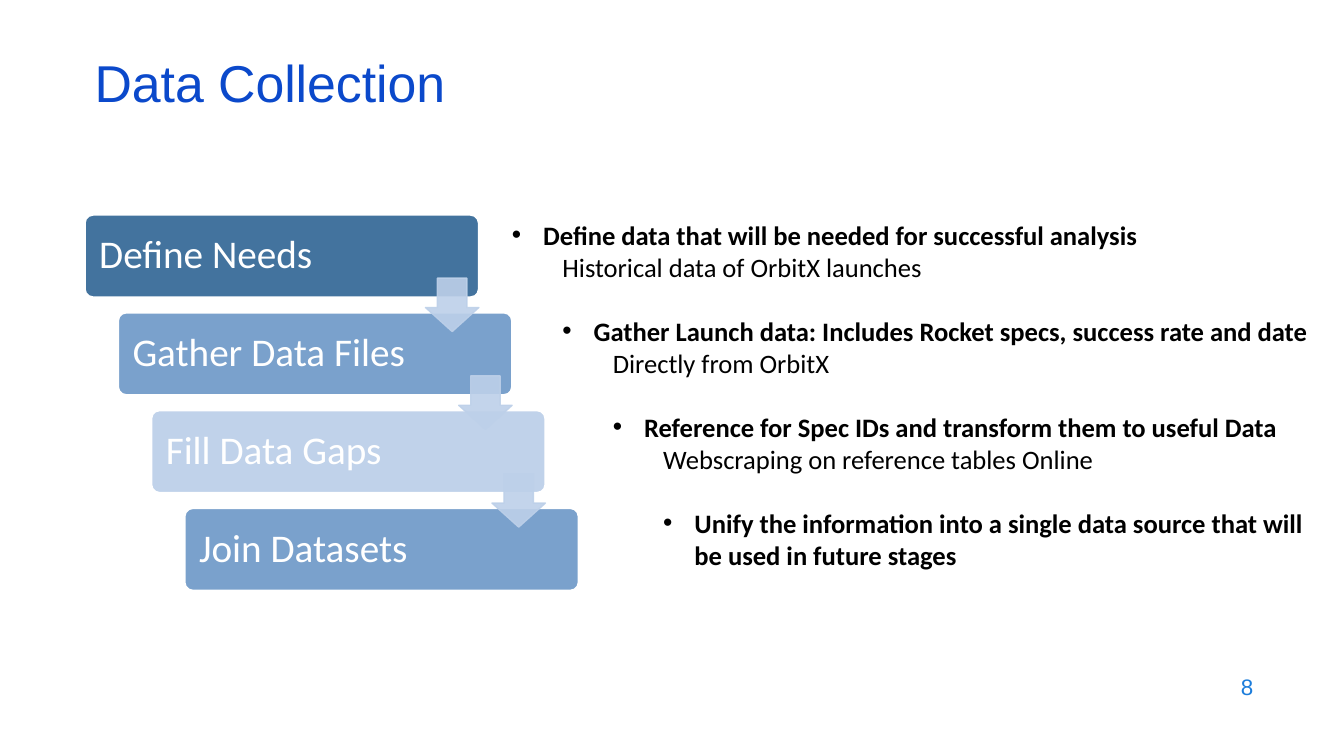
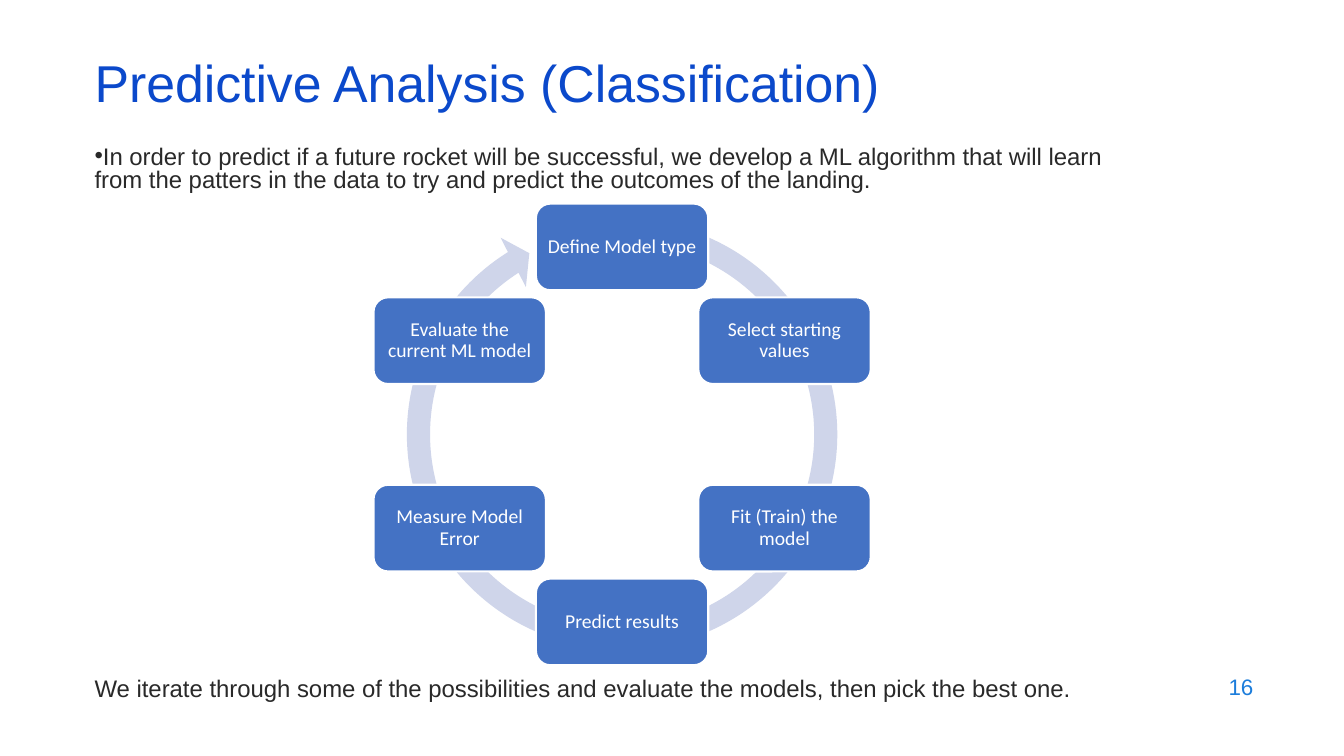
import math
from dataclasses import dataclass

from lxml import etree
from pptx import Presentation
from pptx.dml.color import RGBColor
from pptx.enum.shapes import MSO_SHAPE
from pptx.enum.text import MSO_ANCHOR, PP_ALIGN
from pptx.oxml.ns import qn
from pptx.presentation import Presentation as Deck
from pptx.shapes.autoshape import Shape
from pptx.slide import Slide
from pptx.text.text import TextFrame, _Paragraph as Paragraph
from pptx.util import Inches, Pt

ROUNDED = MSO_SHAPE.ROUNDED_RECTANGLE
DOWN_ARROW = MSO_SHAPE.DOWN_ARROW
CIRCULAR_ARROW = MSO_SHAPE.CIRCULAR_ARROW
TOP, MIDDLE = MSO_ANCHOR.TOP, MSO_ANCHOR.MIDDLE
LEFT, CENTER, RIGHT = PP_ALIGN.LEFT, PP_ALIGN.CENTER, PP_ALIGN.RIGHT


@dataclass(frozen=True)
class TextStyle:
    font: str
    size: float
    color: str
    spacing: float = 1.0
    align: PP_ALIGN = LEFT


@dataclass(frozen=True)
class Theme:
    white: str = "FFFFFF"
    dark_step: str = "43739E"
    mid_step: str = "7AA1CC"
    light_step: str = "C0D2EA"
    step_arrow: str = "BDD0E9"
    stage: str = "4472C4"
    ring: str = "CFD5EA"
    title: TextStyle = TextStyle("Arial", 37, "0B49CB", 0.7)
    number: TextStyle = TextStyle("Arial", 16, "1C7DDB", align=RIGHT)
    body: TextStyle = TextStyle("Arial", 17.1, "292929", 0.8)
    detail: TextStyle = TextStyle("Calibri", 19, "000000")
    step_label: TextStyle = TextStyle("Calibri", 28, "FFFFFF", 0.9)
    stage_label: TextStyle = TextStyle("Calibri", 14, "FFFFFF", 0.9, CENTER)


THEME = Theme()


@dataclass(frozen=True)
class Box:
    left: float
    top: float
    width: float
    height: float

    def emu(self) -> tuple[int, int, int, int]:
        return (Inches(self.left), Inches(self.top),
                Inches(self.width), Inches(self.height))


@dataclass(frozen=True)
class Step:
    label: str
    fill: str
    point: str
    note: str = ""


STEPS = [
    Step("Define Needs", THEME.dark_step,
         "Define data that will be needed for successful analysis",
         "Historical data of OrbitX launches"),
    Step("Gather Data Files", THEME.mid_step,
         "Gather Launch data: Includes Rocket specs, success rate and date",
         "Directly from OrbitX"),
    Step("Fill Data Gaps", THEME.light_step,
         "Reference for Spec IDs and transform them to useful Data",
         "Webscraping on reference tables Online"),
    Step("Join Datasets", THEME.mid_step,
         "Unify the information into a single data source that will be used "
         "in future stages"),
]

STAGES = [
    "Define Model type",
    "Select starting values",
    "Fit (Train) the model",
    "Predict results",
    "Measure Model Error",
    "Evaluate the current ML model",
]


def write(paragraph: Paragraph, text: str, style: TextStyle, bold: bool = False) -> None:
    paragraph.alignment = style.align
    paragraph.line_spacing = style.spacing
    run = paragraph.add_run()
    run.text = text
    run.font.name = style.font
    run.font.size = Pt(style.size)
    run.font.bold = bold
    run.font.color.rgb = RGBColor.from_string(style.color)


def set_indent(paragraph: Paragraph, margin: float, first: float, bullet: bool) -> None:
    """Set the left margin and first-line indent, with an optional bullet."""
    properties = paragraph._p.get_or_add_pPr()
    properties.set("marL", str(Inches(margin)))
    properties.set("indent", str(Inches(first)))
    if bullet:
        etree.SubElement(properties, qn("a:buFont"), typeface="Arial")
        etree.SubElement(properties, qn("a:buChar"), char="•")


def add_text_frame(slide: Slide, box: Box, anchor: MSO_ANCHOR = TOP) -> TextFrame:
    frame = slide.shapes.add_textbox(*box.emu()).text_frame
    frame.word_wrap = True
    frame.vertical_anchor = anchor
    return frame


def add_filled(slide: Slide, kind: MSO_SHAPE, box: Box, fill: str,
               line: str | None = None, line_width: float = 1.5,
               adjustments: tuple[float, ...] = ()) -> Shape:
    shape = slide.shapes.add_shape(kind, *box.emu())
    shape.shadow.inherit = False
    shape.fill.solid()
    shape.fill.fore_color.rgb = RGBColor.from_string(fill)
    if line:
        shape.line.color.rgb = RGBColor.from_string(line)
        shape.line.width = Pt(line_width)
    else:
        shape.line.fill.background()
    for index, value in enumerate(adjustments):
        shape.adjustments[index] = value
    return shape


def set_opacity(shape: Shape, percent: int) -> None:
    """Apply one opacity to both the fill and the outline."""
    for color in shape.element.spPr.iter(qn("a:srgbClr")):
        etree.SubElement(color, qn("a:alpha"), val=str(percent * 1000))


def label_shape(shape: Shape, text: str, style: TextStyle, inset: float) -> None:
    frame = shape.text_frame
    frame.word_wrap = True
    frame.vertical_anchor = MIDDLE
    frame.margin_left = frame.margin_right = Inches(inset)
    frame.margin_top = frame.margin_bottom = Inches(inset)
    write(frame.paragraphs[0], text, style)


def add_titled_slide(deck: Deck, title: str, number: int) -> Slide:
    slide = deck.slides.add_slide(deck.slide_layouts[6])
    number_frame = add_text_frame(slide, Box(9.53, 6.59, 3, 0.44), MIDDLE)
    write(number_frame.paragraphs[0], str(number), THEME.number)
    title_frame = add_text_frame(slide, Box(0.84, 0.59, 11.5, 0.6), MIDDLE)
    write(title_frame.paragraphs[0], title, THEME.title)
    return slide


def add_staircase(slide: Slide) -> None:
    """Draw the descending steps, then the arrows that overlap them."""
    corners = [(0.84 + 0.33 * i, 2.13 + 0.97 * i) for i in range(len(STEPS))]
    for step, (left, top) in zip(STEPS, corners):
        tread = add_filled(slide, ROUNDED, Box(left, top, 3.91, 0.82), step.fill,
                           THEME.white, adjustments=(0.1,))
        label_shape(tread, step.label, THEME.step_label, 0.12)
    for left, top in corners[:-1]:
        arrow = add_filled(slide, DOWN_ARROW, Box(left + 3.38, top + 0.63, 0.53, 0.53),
                           THEME.step_arrow, THEME.step_arrow, 1, (0.55, 0.45))
        set_opacity(arrow, 90)


def add_step_details(slide: Slide) -> None:
    frame = add_text_frame(slide, Box(4.98, 2.12, 8.13, 3.62))
    hang = 0.31
    for index, step in enumerate(STEPS):
        shift = 0.5 * index
        point = frame.add_paragraph() if index else frame.paragraphs[0]
        set_indent(point, shift + hang, -hang, bullet=True)
        if index:
            point.space_before = Pt(23)
        write(point, step.point, THEME.detail, bold=True)
        if step.note:
            note = frame.add_paragraph()
            set_indent(note, shift + 0.5, 0, bullet=False)
            write(note, step.note, THEME.detail)


def add_cycle(slide: Slide) -> None:
    """Draw the ring arrow with the stages spaced evenly, clockwise from the top."""
    center_x, center_y, radius = 6.17, 4.31, 1.86
    ring_size, width, height = 4.59, 1.71, 0.86
    add_filled(slide, CIRCULAR_ARROW,
               Box(center_x - ring_size / 2, center_y - ring_size / 2,
                   ring_size, ring_size),
               THEME.ring, adjustments=(0.05, 3.13, 142.61, 171.08, 0.06))
    for index, name in enumerate(STAGES):
        angle = math.tau * index / len(STAGES)
        box = Box(center_x + radius * math.sin(angle) - width / 2,
                  center_y - radius * math.cos(angle) - height / 2, width, height)
        stage = add_filled(slide, ROUNDED, box, THEME.stage, THEME.white)
        label_shape(stage, name, THEME.stage_label, 0.06)


def build_collection(deck: Deck) -> None:
    slide = add_titled_slide(deck, "Data Collection", 8)
    add_staircase(slide)
    add_step_details(slide)


def build_prediction(deck: Deck) -> None:
    slide = add_titled_slide(deck, "Predictive Analysis (Classification)", 16)
    goal = add_text_frame(slide, Box(0.84, 1.41, 10.66, 0.6)).paragraphs[0]
    set_indent(goal, 0, 0, bullet=True)
    write(goal, "In order to predict if a future rocket will be successful, we "
                "develop a ML algorithm that will learn from the patters in the "
                "data to try and predict the outcomes of the landing.", THEME.body)
    add_cycle(slide)
    conclusion = add_text_frame(slide, Box(0.84, 6.69, 10.66, 0.4)).paragraphs[0]
    write(conclusion, "We iterate through some of the possibilities and evaluate "
                      "the models, then pick the best one.", THEME.body)


def main() -> None:
    deck = Presentation()
    deck.slide_width, deck.slide_height = Inches(13.33), Inches(7.5)
    build_collection(deck)
    build_prediction(deck)
    deck.save("out.pptx")


if __name__ == "__main__":
    main()
